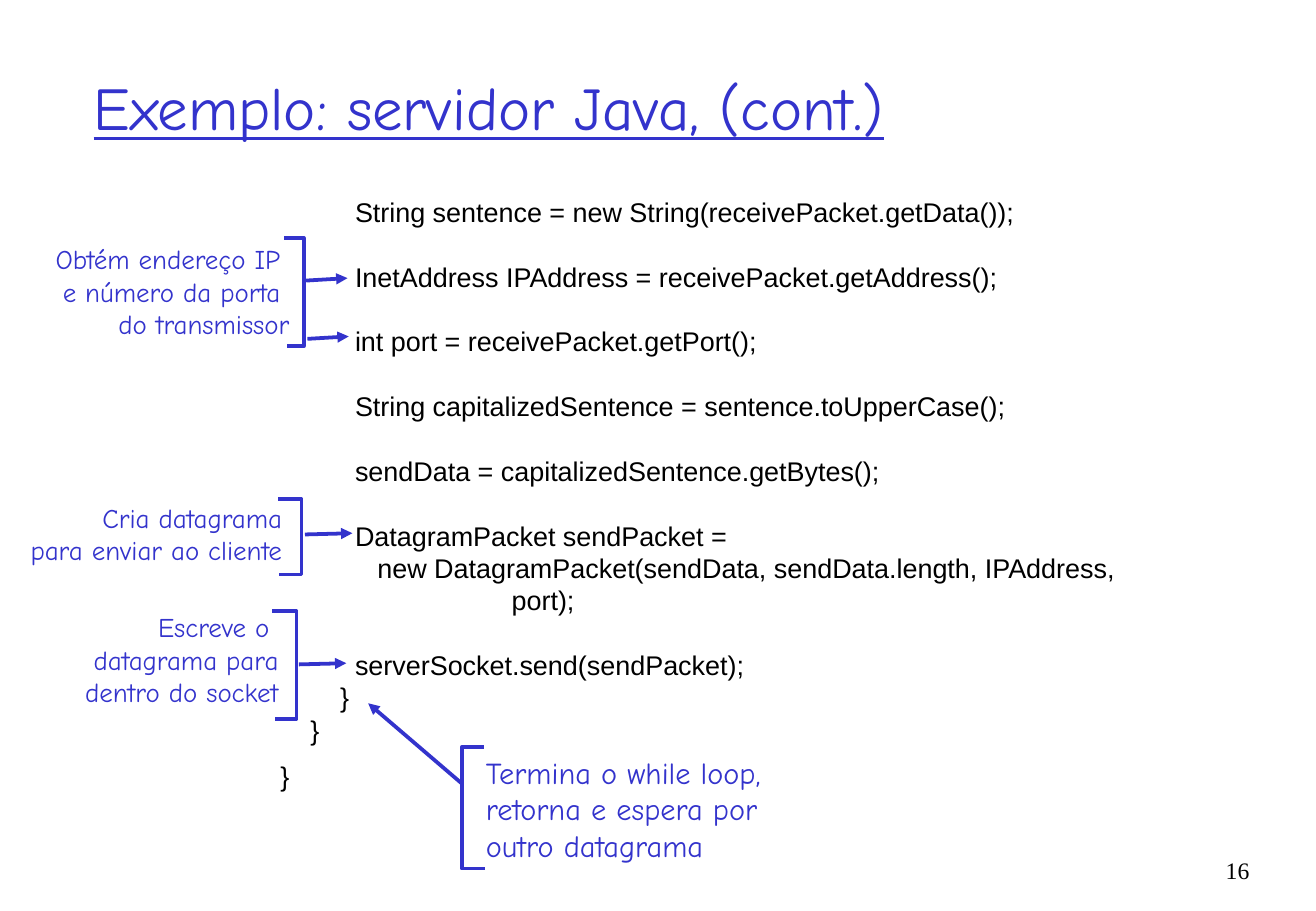
from dataclasses import dataclass

from lxml.etree import SubElement
from pptx import Presentation
from pptx.dml.color import RGBColor
from pptx.enum.shapes import MSO_CONNECTOR
from pptx.enum.text import MSO_ANCHOR, MSO_AUTO_SIZE, PP_ALIGN
from pptx.oxml.ns import qn
from pptx.util import Inches, Pt


@dataclass(frozen=True)
class Theme:
    blue: RGBColor = RGBColor(0x33, 0x33, 0xCC)
    black: RGBColor = RGBColor(0, 0, 0)
    note_font: str = "Comic Neue"
    code_font: str = "Arial"
    number_font: str = "Times New Roman"
    title_size: int = 36
    code_size: int = 16
    note_size: int = 16
    ending_size: int = 18
    number_size: int = 14
    line_width: float = 2.25
    leading: float = 1.2


class SlideBuilder:
    def __init__(self, slide, theme):
        self.slide = slide
        self.theme = theme

    def style(self, paragraph, font_name, size, color, align=PP_ALIGN.LEFT):
        paragraph.alignment = align
        paragraph.line_spacing = Pt(size * self.theme.leading)
        font = paragraph.font
        font.name, font.size, font.color.rgb = font_name, Pt(size), color

    def title(self, text, left, top, width, height):
        title = self.slide.shapes.title
        title.left, title.top = Inches(left), Inches(top)
        title.width, title.height = Inches(width), Inches(height)
        frame = title.text_frame
        frame.text = text
        frame.auto_size = MSO_AUTO_SIZE.NONE
        frame.vertical_anchor = MSO_ANCHOR.MIDDLE
        heading = frame.paragraphs[0]
        self.style(heading, self.theme.note_font, self.theme.title_size, self.theme.blue)
        heading.font.underline = True

    def text(self, lines, left, top, width, height, font_name, size, color,
             align=PP_ALIGN.LEFT):
        """Add (space before in points, line) pairs as paragraphs."""
        box = self.slide.shapes.add_textbox(
            Inches(left), Inches(top), Inches(width), Inches(height))
        frame = box.text_frame
        frame.word_wrap = True
        for index, (gap, line) in enumerate(lines):
            paragraph = frame.add_paragraph() if index else frame.paragraphs[0]
            paragraph.text = line
            paragraph.space_before = Pt(gap)
            self.style(paragraph, font_name, size, color, align)

    def note(self, lines, left, top, width, height, size, align):
        self.text([(0, line) for line in lines], left, top, width, height,
                  self.theme.note_font, size, self.theme.blue, align)

    def outline(self, line):
        line.color.rgb = self.theme.blue
        line.width = Pt(self.theme.line_width)

    def bracket(self, top_tip, bottom_tip, spine, top, bottom):
        builder = self.slide.shapes.build_freeform(Inches(top_tip), Inches(top))
        corners = [(spine, top), (spine, bottom), (bottom_tip, bottom)]
        builder.add_line_segments(
            [(Inches(x), Inches(y)) for x, y in corners], close=False)
        bracket = builder.convert_to_shape()
        bracket.shadow.inherit = False
        bracket.fill.background()
        self.outline(bracket.line)

    def arrow(self, x1, y1, x2, y2):
        arrow = self.slide.shapes.add_connector(
            MSO_CONNECTOR.STRAIGHT, Inches(x1), Inches(y1), Inches(x2), Inches(y2))
        self.outline(arrow.line)
        SubElement(arrow.line._get_or_add_ln(), qn("a:tailEnd"), type="triangle")
        SubElement(arrow._element.spPr, qn("a:effectLst"))


BLANK_LINE = Theme.code_size * Theme.leading
CODE = [
    (0, "          String sentence = new String(receivePacket.getData());"),
    (BLANK_LINE, "          InetAddress IPAddress = receivePacket.getAddress();"),
    (BLANK_LINE, "          int port = receivePacket.getPort();"),
    (BLANK_LINE, "          String capitalizedSentence = sentence.toUpperCase();"),
    (BLANK_LINE, "          sendData = capitalizedSentence.getBytes();"),
    (BLANK_LINE, "          DatagramPacket sendPacket ="),
    (0, "             new DatagramPacket(sendData, sendData.length, IPAddress,"),
    (0, "                               port);"),
    (BLANK_LINE, "          serverSocket.send(sendPacket);"),
    (0, "        }"),
    (0, "    }"),
    (8, "}"),
]

# Notes left of the code: lines, right edge, top, height, bracket, arrows
SIDE_NOTES = [
    (["Obtém endereço IP ", "e número da porta ", "do transmissor"], 2.48, 1.95, 0.9,
     (2.34, 2.36, 2.5, 1.96, 2.85),
     [(2.52, 2.31, 2.86, 2.29), (2.53, 2.79, 2.87, 2.77)]),
    (["Cria datagrama", "para enviar ao cliente"], 2.42, 4.08, 0.64,
     (2.29, 2.3, 2.48, 4.11, 4.73),
     [(2.51, 4.4, 2.9, 4.39)]),
    (["Escreve o ", "datagrama para", "dentro do socket"], 2.39, 4.98, 0.9,
     (2.24, 2.26, 2.44, 5.03, 5.92),
     [(2.46, 5.47, 2.85, 5.46)]),
]


def main():
    presentation = Presentation()
    presentation.slide_width, presentation.slide_height = Inches(10.83), Inches(7.5)
    theme = Theme()
    slide = presentation.slides.add_slide(presentation.slide_layouts[5])
    builder = SlideBuilder(slide, theme)

    # Title and code
    builder.title("Exemplo: servidor Java, (cont.)", 0.67, 0.25, 8.49, 1.25)
    builder.text(CODE, 2.21, 1.56, 7.4, 5.04,
                 theme.code_font, theme.code_size, theme.black)

    # Notes on the code lines
    for lines, right, top, height, bracket, arrows in SIDE_NOTES:
        builder.note(lines, 0, top, right, height, theme.note_size, PP_ALIGN.RIGHT)
        builder.bracket(*bracket)
        for arrow in arrows:
            builder.arrow(*arrow)

    # Note on the end of the loop
    builder.note(["Termina o while loop,", "retorna e espera por", "outro datagrama"],
                 3.9, 6.16, 2.8, 1, theme.ending_size, PP_ALIGN.LEFT)
    builder.bracket(3.98, 3.99, 3.8, 6.15, 7.15)
    builder.arrow(3.8, 6.45, 3.03, 5.79)

    # Slide number
    builder.text([(0, "16")], 9.84, 7, 0.54, 0.5,
                 theme.number_font, theme.number_size, theme.black, PP_ALIGN.RIGHT)

    presentation.save("out.pptx")


if __name__ == "__main__":
    main()
